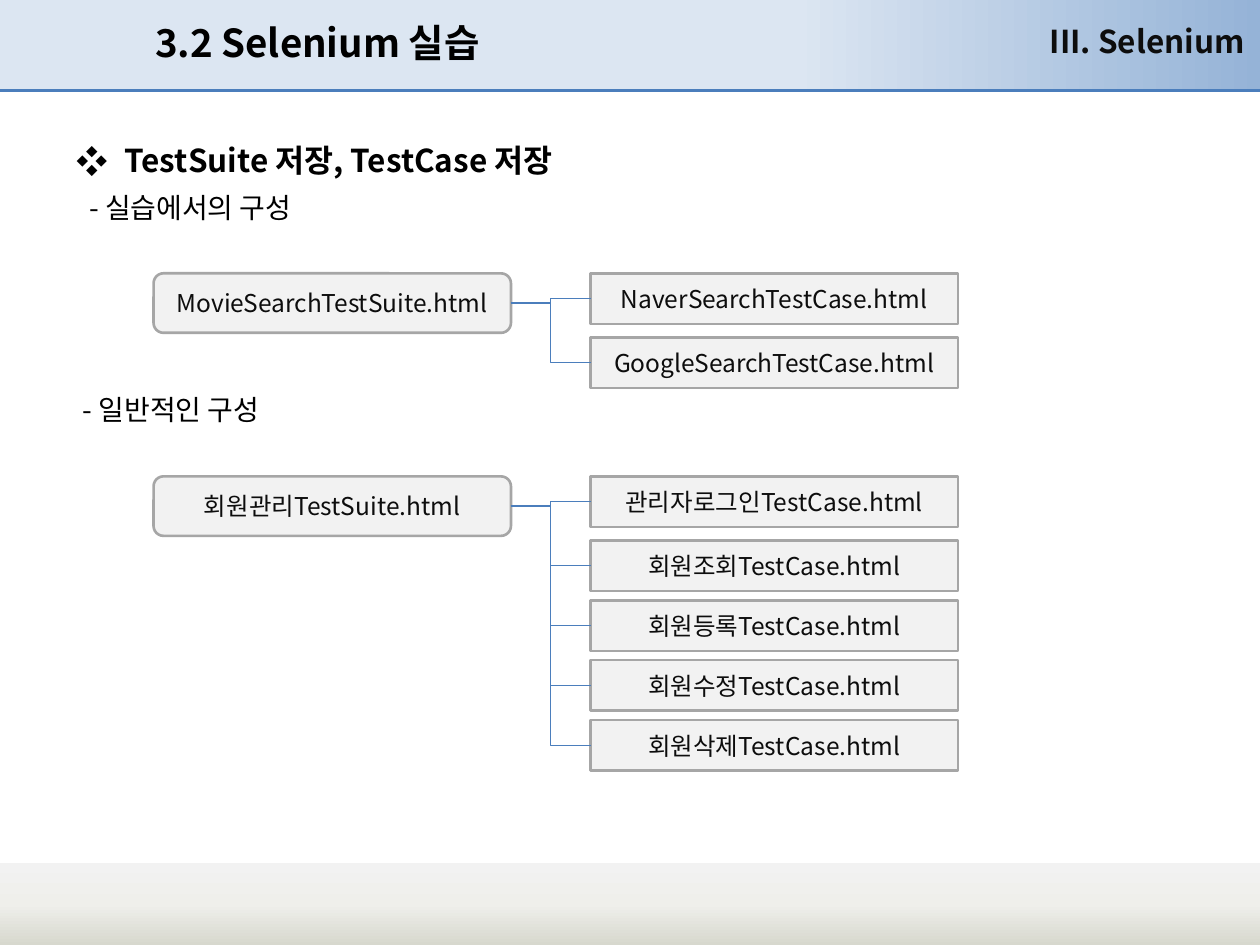
from lxml.etree import SubElement
from pptx import Presentation
from pptx.dml.color import RGBColor
from pptx.enum.shapes import MSO_CONNECTOR as Connector, MSO_SHAPE as Shape
from pptx.enum.text import MSO_ANCHOR as Anchor, PP_ALIGN as Align
from pptx.oxml.ns import qn
from pptx.util import Pt

FONT = "Noto Sans CJK KR"
COLORS = {
    "black": "000000", "ink": "0D0D0D", "box": "F2F2F2", "border": "A6A6A6",
    "blue": "4B7EBC", "pale": "DCE6F2", "sky": "95B3D7",
    "mist": "EFEFEB", "stone": "D7D8CE",
}
HEADER_STOPS = [(0, "pale"), (63, "pale"), (100, "sky")]
FOOTER_STOPS = [(0, "box"), (50, "mist"), (100, "stone")]
FORMATS = {
    "title": {"size": Pt(22), "bold": True},
    "heading": {"size": Pt(18), "bold": True},
    "item": {"size": Pt(16), "bold": False},
    "node": {"size": Pt(14), "bold": False},
}
OUTLINE = [
    ("TestSuite 저장, TestCase 저장", "heading", {"line_spacing": 1.2}),
    ("- 실습에서의 구성", "item", {"line_spacing": 1.2, "space_before": Pt(3.2)}),
    ("- 일반적인 구성", "item", {"line_spacing": 1.2, "space_before": Pt(92.2)}),
]
ITEM_INDENTS = [27.4, 7.2, 3.6]
TREES = [
    (156.2, "MovieSearchTestSuite.html",
     ["NaverSearchTestCase.html", "GoogleSearchTestCase.html"]),
    (272.2, "회원관리TestSuite.html",
     [f"{task}TestCase.html"
      for task in ("관리자로그인", "회원조회", "회원등록", "회원수정", "회원삭제")]),
]


def rgb(name):
    return RGBColor.from_string(COLORS[name])


def set_text(paragraph, text, style, color="black", **layout):
    for name, value in layout.items():
        setattr(paragraph, name, value)
    run = paragraph.add_run()
    run.text = text
    for name, value in FORMATS[style].items():
        setattr(run.font, name, value)
    run.font.color.rgb = rgb(color)
    run.font.name = FONT
    SubElement(run.font._element, qn("a:ea"), typeface=FONT)


def set_margins(frame, left, top, right, bottom):
    frame.margin_left, frame.margin_top = Pt(left), Pt(top)
    frame.margin_right, frame.margin_bottom = Pt(right), Pt(bottom)


def add_band(slide, left, top, width, height, stops, angle):
    shape = slide.shapes.add_shape(
        Shape.RECTANGLE, Pt(left), Pt(top), Pt(width), Pt(height))
    shape.shadow.inherit = False
    shape.line.fill.background()
    shape.fill.gradient()
    gradient = shape.element.spPr.find(qn("a:gradFill"))
    for child in list(gradient):
        gradient.remove(child)
    stop_list = SubElement(gradient, qn("a:gsLst"))
    for position, color in stops:
        stop = SubElement(stop_list, qn("a:gs"), pos=str(position * 1000))
        SubElement(stop, qn("a:srgbClr"), val=COLORS[color])
    SubElement(gradient, qn("a:lin"), ang=str(angle * 60000), scaled="0")


def style_connector(connector, weight):
    connector.line.color.rgb = rgb("blue")
    connector.line.width = Pt(weight)
    SubElement(connector.element.spPr, qn("a:effectLst"))


def add_header(slide, left, top, width, height):
    add_band(slide, left, top, width, height, HEADER_STOPS, 0)
    bottom = top + height
    rule = slide.shapes.add_connector(
        Connector.STRAIGHT, Pt(left), Pt(bottom), Pt(left + width), Pt(bottom))
    style_connector(rule, 2)

    title = slide.shapes.title
    title.element.getparent().append(title.element)
    title.left, title.top = Pt(left + 81.4), Pt(top + 4.3)
    title.width, title.height = Pt(425.5), Pt(41)
    title.text_frame.vertical_anchor = Anchor.MIDDLE
    set_text(title.text_frame.paragraphs[0], "3.2 Selenium 실습", "title",
             alignment=Align.LEFT)

    chapter = slide.shapes.add_textbox(
        Pt(left + width - 229.7), Pt(top + 10), Pt(221), Pt(28))
    chapter.text_frame.word_wrap = True
    set_margins(chapter.text_frame, 0, 3.6, 0, 3.6)
    set_text(chapter.text_frame.paragraphs[0], "III. Selenium", "heading", "ink",
             alignment=Align.RIGHT)


def add_outline(slide, left, top, width, height):
    box = slide.shapes.add_textbox(Pt(left), Pt(top), Pt(width), Pt(height))
    frame = box.text_frame
    frame.word_wrap = True
    for index, (text, style, layout) in enumerate(OUTLINE):
        paragraph = frame.add_paragraph() if index else frame.paragraphs[0]
        properties = paragraph._p.get_or_add_pPr()
        properties.set("marL", str(Pt(ITEM_INDENTS[index])))
        if style == "heading":
            properties.set("indent", str(-Pt(ITEM_INDENTS[index])))
            SubElement(properties, qn("a:buFont"), typeface=FONT)
            SubElement(properties, qn("a:buChar"), char="❖")
        set_text(paragraph, text, style, **layout)


def add_node(slide, kind, left, top, width, height, text):
    shape = slide.shapes.add_shape(kind, Pt(left), Pt(top), Pt(width), Pt(height))
    shape.shadow.inherit = False
    shape.fill.solid()
    shape.fill.fore_color.rgb = rgb("box")
    shape.line.color.rgb = rgb("border")
    shape.line.width = Pt(1.5)
    shape.text_frame.vertical_anchor = Anchor.MIDDLE
    set_text(shape.text_frame.paragraphs[0], text, "node", "ink",
             alignment=Align.CENTER)
    return shape


def add_tree(slide, left, top, width, suite_name, case_names):
    suite_width, case_width = 204.2, 209.9
    suite = add_node(slide, Shape.ROUNDED_RECTANGLE, left, top, suite_width, 34,
                     suite_name)
    case_left = left + width - case_width
    for index, name in enumerate(case_names):
        offset = 36.6 + 34.2 * (index - 1) if index else 0
        case = add_node(slide, Shape.RECTANGLE, case_left, top + offset,
                        case_width, 29, name)
        link = slide.shapes.add_connector(Connector.ELBOW, 0, 0, 0, 0)
        link.begin_connect(suite, 3)
        link.end_connect(case, 1)
        style_connector(link, 0.75)


def main():
    presentation = Presentation()
    presentation.slide_width, presentation.slide_height = Pt(720), Pt(540)
    slide = presentation.slides.add_slide(presentation.slide_layouts[5])
    add_band(slide, 0, 493, 720, 47, FOOTER_STOPS, 90)
    add_header(slide, 0, -0.7, 720, 52.5)
    add_outline(slide, 36.7, 72.5, 663, 414)
    for top, suite_name, case_names in TREES:
        add_tree(slide, 87.8, top, 459.6, suite_name, case_names)
    presentation.save("out.pptx")


if __name__ == "__main__":
    main()
